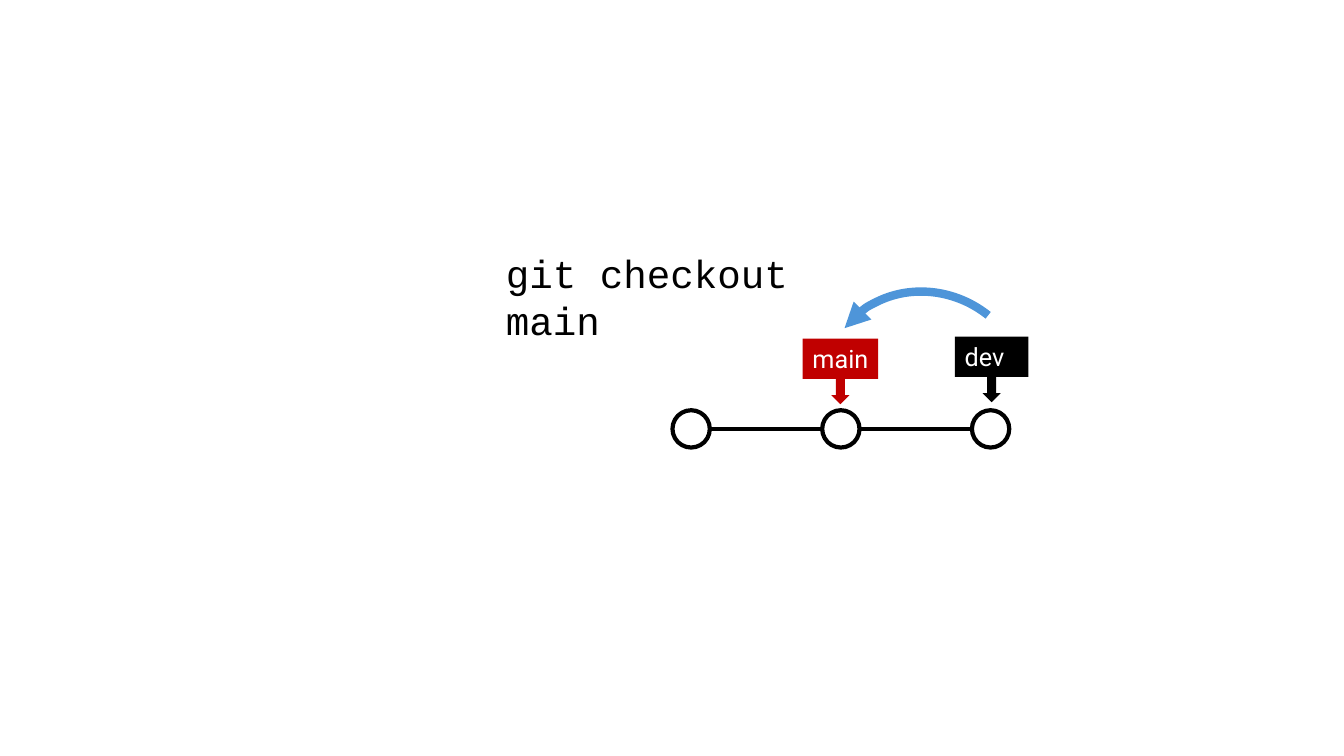
from lxml.etree import SubElement
from pptx import Presentation
from pptx.dml.color import RGBColor
from pptx.enum.shapes import MSO_CONNECTOR, MSO_SHAPE
from pptx.enum.text import MSO_AUTO_SIZE, PP_ALIGN
from pptx.oxml.ns import qn
from pptx.util import Inches, Pt

BLACK, WHITE, RED, BLUE = "000000", "FFFFFF", "C00000", "4E95D9"


def color(hex_string):
    return RGBColor.from_string(hex_string)


def add_preset(slide, preset, left, top, width, height, fill=None, line=None, line_width=3):
    shape = slide.shapes.add_shape(
        preset, Inches(left), Inches(top), Inches(width), Inches(height))
    shape.shadow.inherit = False
    if fill:
        shape.fill.solid()
        shape.fill.fore_color.rgb = color(fill)
    else:
        shape.fill.background()
    if line:
        shape.line.color.rgb = color(line)
        shape.line.width = Pt(line_width)
    else:
        shape.line.fill.background()
    return shape


def write_text(shape, text, font, size, text_color):
    frame = shape.text_frame
    frame.word_wrap = True
    frame.text = text
    paragraph = frame.paragraphs[0]
    paragraph.alignment = PP_ALIGN.LEFT
    run_font = paragraph.runs[0].font
    run_font.name, run_font.size = font, Pt(size)
    run_font.color.rgb = color(text_color)


def add_history(slide, left, top, pitch, commits=3, diameter=0.37):
    """Row of commits on one line."""
    middle = top + diameter / 2
    first = left + diameter / 2
    history = slide.shapes.add_connector(
        MSO_CONNECTOR.STRAIGHT, Inches(first), Inches(middle),
        Inches(first + (commits - 1) * pitch), Inches(middle))
    history.line.color.rgb = color(BLACK)
    history.line.width = Pt(3)
    SubElement(history._element.spPr, qn("a:effectLst"))
    for i in range(commits):
        add_preset(slide, MSO_SHAPE.OVAL, left + i * pitch, top,
                   diameter, diameter, WHITE, BLACK)


def add_branch(slide, name, left, top, width, fill):
    """Branch label with an arrow down to its commit."""
    arrow_width = 0.18
    add_preset(slide, MSO_SHAPE.DOWN_ARROW, left + (width - arrow_width) / 2,
               top + 0.16, arrow_width, 0.49, fill)
    label = add_preset(slide, MSO_SHAPE.RECTANGLE, left, top, width, 0.4, fill)
    label.text_frame.margin_right = 0
    write_text(label, name, "Roboto", 18, WHITE)


def add_switch_arrow(slide, left, top, width, height):
    """Curved arrow from one branch to the other."""
    switch = add_preset(slide, MSO_SHAPE.ARC, left, top, width, height,
                        line=BLUE, line_width=6)
    switch.adjustments[0] = 110.89
    switch.adjustments[1] = 166.37
    switch.rotation = 32.2
    SubElement(switch.line._get_or_add_ln(), qn("a:headEnd"), type="triangle")


def add_command(slide, left, top, width, height):
    command = slide.shapes.add_textbox(
        Inches(left), Inches(top), Inches(width), Inches(height))
    write_text(command, "git checkout main", "Courier New", 28, BLACK)
    command.text_frame.auto_size = MSO_AUTO_SIZE.SHAPE_TO_FIT_TEXT


def main():
    prs = Presentation()
    prs.slide_width, prs.slide_height = Inches(13.33), Inches(7.5)
    slide = prs.slides.add_slide(prs.slide_layouts[6])
    add_history(slide, 6.67, 4.07, 1.485)
    add_branch(slide, "main", 7.96, 3.36, 0.75, RED)
    add_branch(slide, "dev", 9.47, 3.34, 0.73, BLACK)
    add_switch_arrow(slide, 8.17, 2.91, 2.04, 1.92)
    add_command(slide, 4.92, 2.42, 3.87, 0.57)
    prs.save("out.pptx")


if __name__ == "__main__":
    main()
